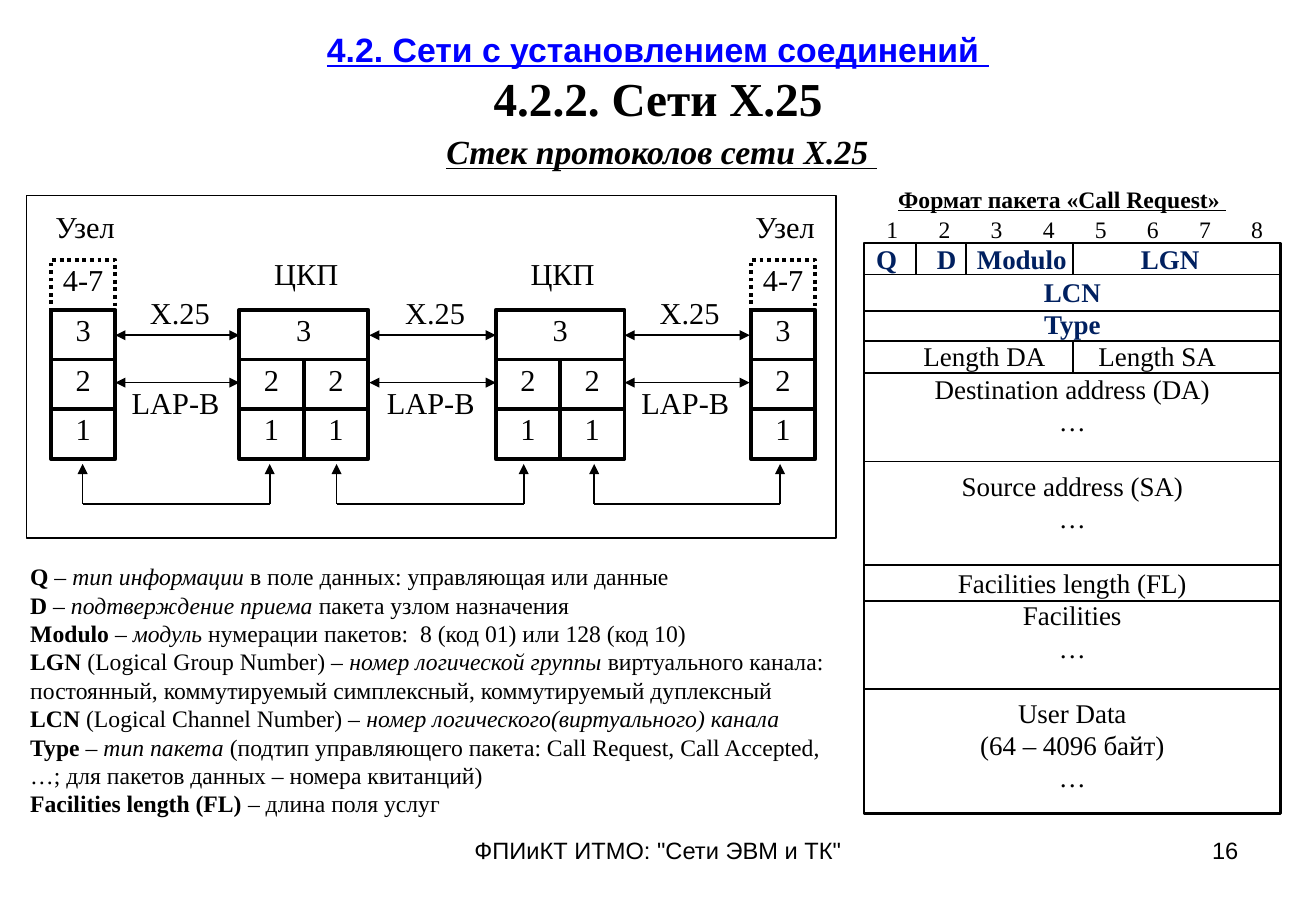
from pptx import Presentation, util as u
from pptx.dml.color import RGBColor
from pptx.enum import dml, shapes, text
from pptx.oxml.ns import qn
from lxml import etree

SERIF = "Times New Roman"
BLACK, WHITE, BLUE, NAVY = "000000", "FFFFFF", "0000FF", "002060"
LEFT, CENTER, RIGHT = text.PP_ALIGN.LEFT, text.PP_ALIGN.CENTER, text.PP_ALIGN.RIGHT
LAYER = 0.41
CELL = 0.53
NODES = [0.42, 6.18]
SWITCHES = [1.97, 4.08]
GAPS = [(0.95, 1.97), (3.04, 4.08), (5.14, 6.17)]
PHYSICAL_LINKS = [(0.68, 2.22), (2.77, 4.31), (4.89, 6.42)]
PACKET_LEFT, PACKET_TOP, PACKET_WIDTH, PACKET_HEIGHT = 7.11, 2, 3.43, 4.7
ROW_LINES = [2.26, 2.56, 2.81, 3.07, 3.8, 4.65, 4.95, 5.67]
COLUMN_LINES = [(7.54, 2, 2.26), (7.95, 2, 2.26), (8.83, 2, 2.26), (8.83, 2.81, 3.07)]

LEGEND = [
    ("Q", " – ", "тип информации", " в поле данных: управляющая или данные"),
    ("D ", "– ", "подтверждение приема", " пакета узлом назначения"),
    ("Modulo", " – ", "модуль ", "нумерации пакетов:  8 (код 01) или 128 (код 10)"),
    ("LGN", " (Logical Group Number) – ", "номер логической группы",
     " виртуального канала: постоянный, коммутируемый симплексный, "
     "коммутируемый дуплексный"),
    ("LCN", " (Logical Channel Number) – ", "номер логического(виртуального) канала", ""),
    ("Type", " – ", "тип пакета ",
     "(подтип управляющего пакета: Call Request, Call Accepted, …; "
     "для пакетов данных – номера квитанций)"),
    ("Facilities length (FL) ", "– длина поля услуг", "", ""),
]
HEADER_FIELDS = ["\tQ\tD\tModulo\tLGN", "LCN", "Type"]
BODY_FIELDS = ["\tLength DA\tLength SA", "Destination address (DA)", "…",
               "Source address (SA)", "…", "Facilities length (FL)", "Facilities", "…",
               "User Data", "(64 – 4096 байт)", "…"]
AFTER_GAP = ["Source address (SA)", "Facilities length (FL)", "User Data"]
FIELD_TABS = {HEADER_FIELDS[0]: [0.1, 0.6, 0.93, 2.28], BODY_FIELDS[0]: [0.49, 1.93]}


def color(value):
    return RGBColor.from_string(value)


def style(paragraph, size, font=SERIF, ink=BLACK, bold=False, italic=False,
          underline=False, align=CENTER):
    paragraph.alignment = align
    paragraph.line_spacing = u.Pt(round(size * 1.2, 1))
    for run in paragraph.runs:
        run.font.name, run.font.size = font, u.Pt(size)
        run.font.color.rgb = color(ink)
        run.font.bold, run.font.italic, run.font.underline = bold, italic, underline


def set_tabs(paragraph, stops, align="l"):
    tabs = etree.SubElement(paragraph._p.get_or_add_pPr(), qn("a:tabLst"))
    for stop in stops:
        etree.SubElement(tabs, qn("a:tab"), pos=str(u.Inches(stop)), algn=align)


def prepare(frame, inset_x, inset_y):
    frame.word_wrap = True
    frame.vertical_anchor = text.MSO_ANCHOR.TOP
    frame.margin_left = frame.margin_right = u.Inches(inset_x)
    frame.margin_top = frame.margin_bottom = u.Inches(inset_y)
    return frame


def add_label(slide, wording, left, top, width, height, size, inset=(0.1, 0.05), **look):
    box = slide.shapes.add_textbox(*map(u.Inches, (left, top, width, height)))
    frame = prepare(box.text_frame, *inset)
    frame.text = wording
    for paragraph in frame.paragraphs:
        style(paragraph, size, **look)
    return frame


def add_box(slide, left, top, width, height, weight, fill=None):
    box = slide.shapes.add_shape(shapes.MSO_SHAPE.RECTANGLE,
                                 *map(u.Inches, (left, top, width, height)))
    box.shadow.inherit = False
    if fill:
        box.fill.solid()
        box.fill.fore_color.rgb = color(fill)
    else:
        box.fill.background()
    box.line.color.rgb = color(BLACK)
    box.line.width = u.Pt(weight)
    return box


def add_layer(slide, wording, left, level, width=CELL, dotted=False):
    cell = add_box(slide, left, 2.14 + level * LAYER, width, LAYER, 2.25, WHITE)
    if dotted:
        cell.line.dash_style = dml.MSO_LINE.ROUND_DOT
    frame = prepare(cell.text_frame, 0.02, 0.01)
    frame.text = wording
    style(frame.paragraphs[0], 18)


def add_line(slide, x1, y1, x2, y2, *arrow_ends):
    line = slide.shapes.add_connector(shapes.MSO_CONNECTOR.STRAIGHT,
                                      *map(u.Inches, (x1, y1, x2, y2)))
    line.line.color.rgb = color(BLACK)
    line.line.width = u.Pt(1)
    for end in arrow_ends:
        etree.SubElement(line.line._get_or_add_ln(), qn("a:" + end), type="triangle")
    etree.SubElement(line._element.spPr, qn("a:effectLst"))


def add_headings(slide):
    title = add_label(slide, "4.2. Сети с установлением соединений \n4.2.2. Сети Х.25",
                      0.54, 0.01, 9.75, 1.25, 28, bold=True)
    title.vertical_anchor = text.MSO_ANCHOR.MIDDLE
    style(title.paragraphs[0], 20, font="Arial", ink=BLUE, bold=True, underline=True)
    add_label(slide, "Стек протоколов сети Х.25 ", 0.3, 1.03, 10.29, 0.43, 20,
              bold=True, italic=True, underline=True)
    add_label(slide, 'ФПИиКТ ИТМО: "Сети ЭВМ и ТК"', 3.7, 6.83, 3.43, 0.52, 14, font="Arial")
    add_label(slide, "16", 7.76, 6.83, 2.53, 0.52, 14, font="Arial", align=RIGHT)


def add_stack(slide):
    add_box(slide, 0.22, 1.61, 6.66, 2.82, 0.75)
    for left in NODES:
        add_label(slide, "Узел", left - 0.01, 1.71, 0.58, 0.33, 18, inset=(0, 0))
        for level, wording in enumerate(["4-7", "3", "2", "1"]):
            add_layer(slide, wording, left, level, dotted=level == 0)
    for left in SWITCHES:
        add_label(slide, "ЦКП", left + 0.26, 2.1, 0.58, 0.33, 18, inset=(0, 0))
        add_layer(slide, "3", left, 1, 2 * CELL)
        for level, wording in [(2, "2"), (3, "1")]:
            for half in range(2):
                add_layer(slide, wording, left + half * CELL, level)
    for start, end in GAPS:
        middle = (start + end) / 2
        for y in (2.76, 3.15):
            add_line(slide, start, y, end, y, "headEnd", "tailEnd")
        add_label(slide, "Х.25", middle + 0.02 - 0.29, 2.42, 0.58, 0.33, 18, inset=(0, 0))
        add_label(slide, "LAP-B", middle - 0.02 - 0.44, 3.16, 0.89, 0.33, 18, inset=(0, 0))
    for start, end in PHYSICAL_LINKS:
        for x in (start, end):
            add_line(slide, x, 3.82, x, 4.15, "headEnd")
        add_line(slide, start, 4.15, end, 4.15)


def add_legend(slide):
    frame = add_label(slide, "\n".join("" for _ in LEGEND), 0.15, 4.58, 6.89, 2.22, 14)
    for paragraph, parts in zip(frame.paragraphs, LEGEND):
        for part in filter(None, parts):
            paragraph.add_run().text = part
        style(paragraph, 14, align=LEFT)
        paragraph.runs[0].font.bold = True
        for run in paragraph.runs[2:3]:
            run.font.italic = True


def add_packet(slide):
    add_label(slide, "Формат пакета «Call Request» ", 7.19, 1.47, 3.1, 0.33, 14,
              bold=True, underline=True)
    bits = add_label(slide, "".join(f"\t{bit}" for bit in range(1, 9)), PACKET_LEFT, 1.76,
                     PACKET_WIDTH, 0.26, 14, inset=(0.02, 0.01), align=LEFT)
    bit_width = PACKET_WIDTH / 8
    set_tabs(bits.paragraphs[0], [(bit + 0.5) * bit_width for bit in range(8)], "ctr")
    packet = add_box(slide, PACKET_LEFT, PACKET_TOP, PACKET_WIDTH, PACKET_HEIGHT, 1.5)
    frame = prepare(packet.text_frame, 0, 0)
    frame.text = "\n".join(HEADER_FIELDS + BODY_FIELDS)
    for paragraph in frame.paragraphs:
        wording = paragraph.text
        header = wording in HEADER_FIELDS
        style(paragraph, 16, ink=NAVY if header else BLACK, bold=header,
              align=LEFT if wording in FIELD_TABS else CENTER)
        if wording in AFTER_GAP:
            paragraph.space_before = u.Pt(19.2)
        if wording in FIELD_TABS:
            set_tabs(paragraph, FIELD_TABS[wording])
    for y in ROW_LINES:
        add_line(slide, PACKET_LEFT, y, PACKET_LEFT + PACKET_WIDTH, y)
    for x, top, bottom in COLUMN_LINES:
        add_line(slide, x, top, x, bottom)


def main():
    deck = Presentation()
    deck.slide_width, deck.slide_height = u.Inches(10.83), u.Inches(7.5)
    slide = deck.slides.add_slide(deck.slide_layouts[6])
    add_headings(slide)
    add_stack(slide)
    add_legend(slide)
    add_packet(slide)
    deck.save("out.pptx")


main()
